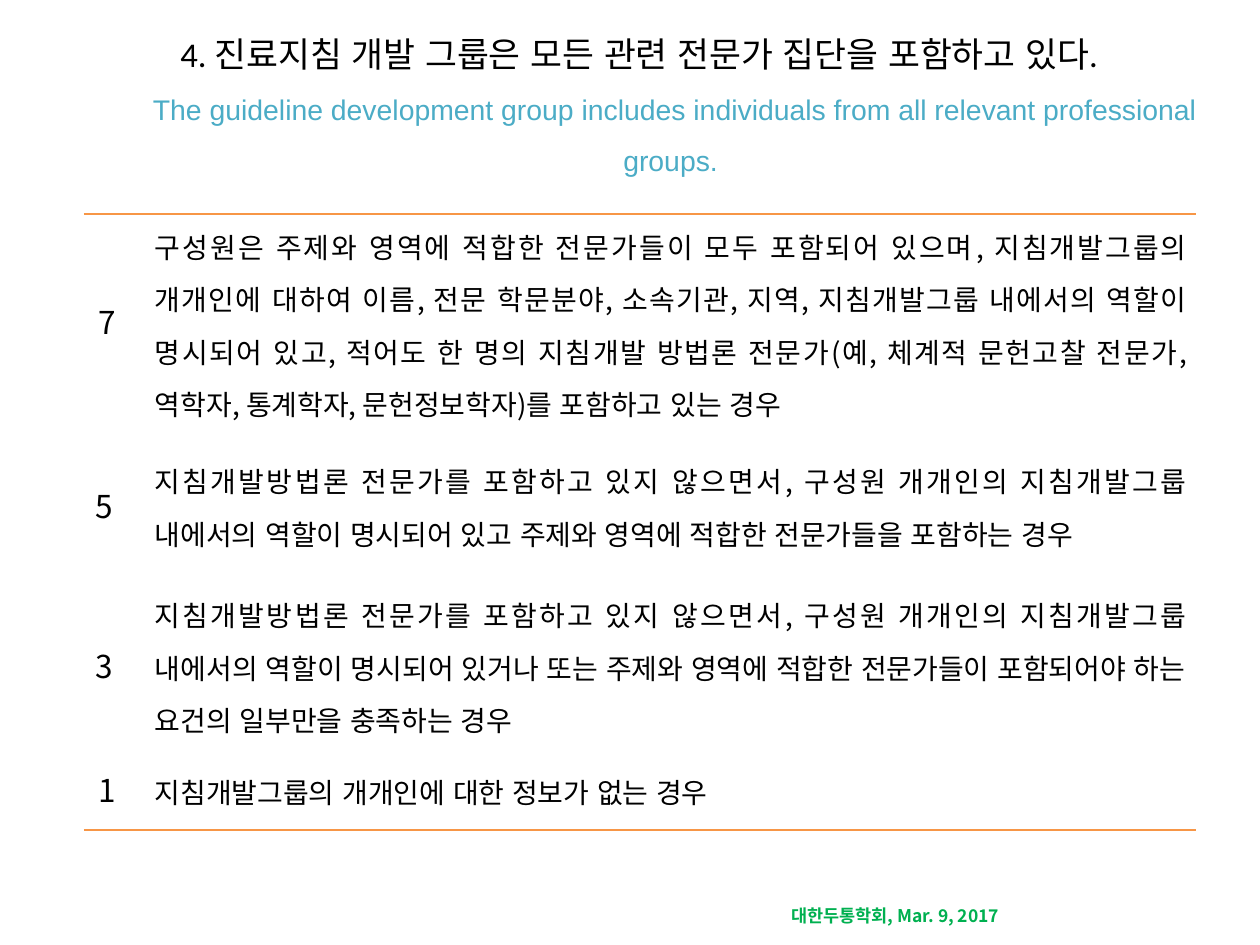
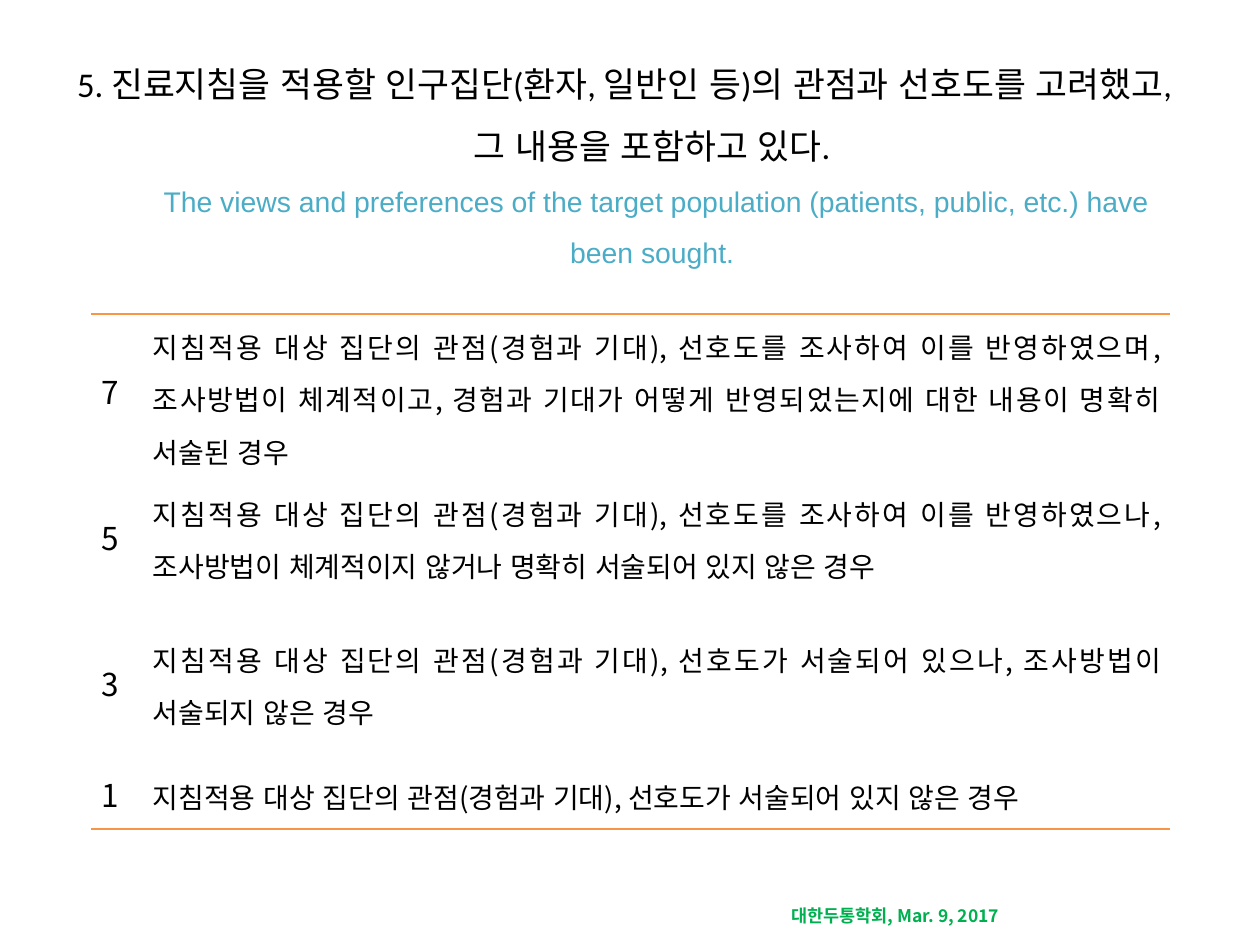
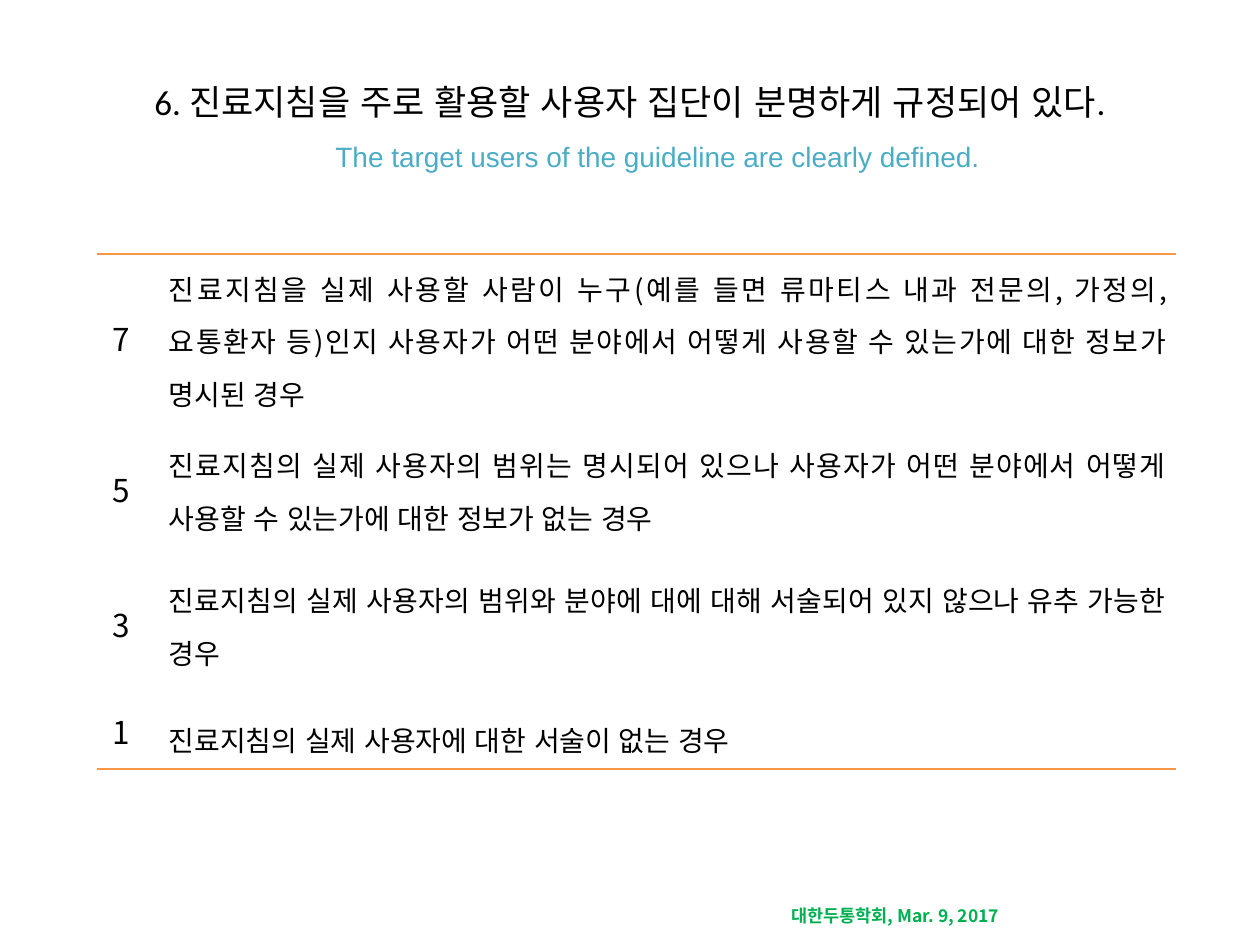
from pptx import Presentation
from pptx.dml.color import RGBColor
from pptx.enum.lang import MSO_LANGUAGE_ID
from pptx.enum.text import MSO_ANCHOR, MSO_AUTO_SIZE, PP_ALIGN
from pptx.oxml.ns import qn
from pptx.util import Emu, Pt
from lxml import etree

CENTER, JUSTIFY = PP_ALIGN.CENTER, PP_ALIGN.JUSTIFY
MIDDLE = MSO_ANCHOR.MIDDLE
NO_AUTOFIT = MSO_AUTO_SIZE.NONE
KOREAN, ENGLISH = MSO_LANGUAGE_ID.KOREAN, MSO_LANGUAGE_ID.ENGLISH_US

SLIDE_SIZE = (1260, 945)
TITLE_ONLY = 5
PLAIN_TABLE_STYLE = "{2D5ABB26-0587-4C30-8999-92F81FD0307C}"
FOOTER = "대한두통학회, Mar. 9, 2017"
FOOTER_BOX = (779, 899, 277, 34)
TITLE_INDENT = 63
CELL_MARGIN = 9
SCORE_RIGHT_MARGIN = 24

THEME = {
    "korean font": "Noto Sans CJK KR",
    "rule": "F79646",
    "question": {"name": "Calibri", "color": "000000", "language_id": KOREAN},
    "translation": {"name": "Arial", "color": "4BACC6", "language_id": ENGLISH},
    "score": {"name": "Noto Sans CJK KR", "size": 18, "color": "000000", "language_id": KOREAN},
    "criterion": {"name": "Noto Sans CJK KR", "size": 16, "color": "000000", "language_id": KOREAN},
    "footer": {"name": "Noto Sans CJK KR", "size": 10, "color": "00B050", "bold": True,
               "language_id": KOREAN},
}

ITEMS = [
    {
        "question": "4. 진료지침 개발 그룹은 모든 관련 전문가 집단을 포함하고 있다. ",
        "translation": "The guideline development group includes individuals from all relevant "
                       "professional groups. ",
        "title sizes": (19.8, 16.2),
        "title box": (35, 16, 1216, 157),
        "table at": (84, 214),
        "columns": (62, 1050),
        "rows": (207, 160, 160, 89),
        "scores": ("7", "5 ", "3 ", "1"),
        "criteria": (
            "구성원은 주제와 영역에 적합한 전문가들이 모두 포함되어 있으며, 지침개발그룹의 "
            "개개인에 대하여 이름, 전문 학문분야, 소속기관, 지역, 지침개발그룹 내에서의 역할이 "
            "명시되어 있고, 적어도 한 명의 지침개발 방법론 전문가(예, 체계적 문헌고찰 전문가, "
            "역학자, 통계학자, 문헌정보학자)를 포함하고 있는 경우",
            "지침개발방법론 전문가를 포함하고 있지 않으면서, 구성원 개개인의 지침개발그룹 "
            "내에서의 역할이 명시되어 있고 주제와 영역에 적합한 전문가들을 포함하는 경우",
            "지침개발방법론 전문가를 포함하고 있지 않으면서, 구성원 개개인의 지침개발그룹 "
            "내에서의 역할이 명시되어 있거나 또는 주제와 영역에 적합한 전문가들이 포함되어야 "
            "하는 요건의 일부만을 충족하는 경우",
            "지침개발그룹의 개개인에 대한 정보가 없는 경우",
        ),
    },
    {
        "question": "5. 진료지침을 적용할 인구집단(환자, 일반인 등)의 관점과 선호도를 고려했고, "
                    "그 내용을 포함하고 있다. ",
        "translation": "The views and preferences of the target population (patients, public, "
                       "etc.) have been sought. ",
        "title sizes": (19.8, 16.2),
        "title box": (63, 77, 1123, 157),
        "table at": (91, 314),
        "columns": (53, 1026),
        "rows": (146, 146, 146, 77),
        "scores": ("7", "5", "3 ", "1"),
        "criteria": (
            "지침적용 대상 집단의 관점(경험과 기대), 선호도를 조사하여 이를 반영하였으며, "
            "조사방법이 체계적이고, 경험과 기대가 어떻게 반영되었는지에 대한 내용이 명확히 "
            "서술된 경우",
            "지침적용 대상 집단의 관점(경험과 기대), 선호도를 조사하여 이를 반영하였으나, "
            "조사방법이 체계적이지 않거나 명확히 서술되어 있지 않은 경우",
            "지침적용 대상 집단의 관점(경험과 기대), 선호도가 서술되어 있으나, 조사방법이 "
            "서술되지 않은 경우",
            "지침적용 대상 집단의 관점(경험과 기대), 선호도가 서술되어 있지 않은 경우",
        ),
    },
    {
        "question": "6. 진료지침을 주로 활용할 사용자 집단이 분명하게 규정되어 있다.",
        "translation": "The target users of the guideline are clearly defined. ",
        "title sizes": (20, 16),
        "title box": (63, 38, 1134, 157),
        "table at": (97, 254),
        "columns": (63, 1016),
        "rows": (161, 140, 130, 84),
        "scores": ("7", "5", "3", "1"),
        "last spacing": 1.6,
        "criteria": (
            "진료지침을 실제 사용할 사람이 누구(예를 들면 류마티스 내과 전문의, 가정의, 요통환자 "
            "등)인지 사용자가 어떤 분야에서 어떻게 사용할 수 있는가에 대한 정보가 명시된 경우",
            "진료지침의 실제 사용자의 범위는 명시되어 있으나 사용자가 어떤 분야에서 어떻게 "
            "사용할 수 있는가에 대한 정보가 없는 경우",
            "진료지침의 실제 사용자의 범위와 분야에 대에 대해 서술되어 있지 않으나 유추 가능한 "
            "경우",
            "진료지침의 실제 사용자에 대한 서술이 없는 경우",
        ),
    },
]


def px(length):
    return Emu(round(length * 914400 / 126))


def add_run(paragraph, text, style, **changes):
    run = paragraph.add_run()
    run.text = text
    for name, value in {**THEME[style], **changes}.items():
        if name == "color":
            run.font.color.rgb = RGBColor.from_string(value)
        else:
            setattr(run.font, name, Pt(value) if name == "size" else value)
    east_asian = etree.SubElement(run.font._element, qn("a:ea"))
    east_asian.set("typeface", THEME["korean font"])


def add_rule(cell, side):
    """Draw one cell border; side is "lnT" or "lnB"."""
    properties = cell._tc.get_or_add_tcPr()
    line = etree.Element(qn(f"a:{side}"), w=str(Pt(1)))
    fill = etree.SubElement(line, qn("a:solidFill"))
    etree.SubElement(fill, qn("a:srgbClr"), val=THEME["rule"])
    properties.insert(0, line)


def set_title(slide, item):
    title = slide.shapes.title
    title.left, title.top, title.width, title.height = map(px, item["title box"])
    frame = title.text_frame
    frame.auto_size = NO_AUTOFIT
    frame.vertical_anchor = MIDDLE
    paragraph = frame.paragraphs[0]
    paragraph.alignment = CENTER
    paragraph.line_spacing = 1.5
    paragraph.space_before = Pt(0)
    properties = paragraph._p.get_or_add_pPr()
    properties.set("marL", str(px(TITLE_INDENT)))
    properties.set("indent", str(-px(TITLE_INDENT)))
    question_size, translation_size = item["title sizes"]
    add_run(paragraph, item["question"], "question", size=question_size)
    paragraph.add_line_break()
    add_run(paragraph, item["translation"], "translation", size=translation_size)


def fill_cell(cell, text, style, alignment, spacing, right_margin=CELL_MARGIN):
    cell.fill.background()
    cell.vertical_anchor = MIDDLE
    cell.margin_left, cell.margin_right = px(CELL_MARGIN), px(right_margin)
    cell.margin_top = cell.margin_bottom = 0
    paragraph = cell.text_frame.paragraphs[0]
    paragraph.alignment = alignment
    paragraph.line_spacing = spacing
    add_run(paragraph, text, style)


def add_score_table(slide, item):
    columns, rows = item["columns"], item["rows"]
    box = (*item["table at"], sum(columns), sum(rows))
    frame = slide.shapes.add_table(len(rows), len(columns), *map(px, box))
    table = frame.table
    table.first_row = table.horz_banding = False
    next(frame.element.iter(qn("a:tableStyleId"))).text = PLAIN_TABLE_STYLE
    for column, width in zip(table.columns, columns):
        column.width = px(width)
    for row, height in zip(table.rows, rows):
        row.height = px(height)
    last = len(rows) - 1
    for index, (score, criterion) in enumerate(zip(item["scores"], item["criteria"])):
        spacing = item.get("last spacing", 1.3) if index == last else 1.3
        fill_cell(table.cell(index, 0), score, "score", CENTER, 1.15, SCORE_RIGHT_MARGIN)
        fill_cell(table.cell(index, 1), criterion, "criterion", JUSTIFY, spacing)
    for column in range(len(columns)):
        add_rule(table.cell(0, column), "lnT")
        add_rule(table.cell(last, column), "lnB")


def add_footer(slide):
    footer = slide.shapes.add_textbox(*map(px, FOOTER_BOX))
    footer.text_frame.word_wrap = True
    add_run(footer.text_frame.paragraphs[0], FOOTER, "footer")


def main():
    presentation = Presentation()
    presentation.slide_width, presentation.slide_height = map(px, SLIDE_SIZE)
    layout = presentation.slide_layouts[TITLE_ONLY]
    for item in ITEMS:
        slide = presentation.slides.add_slide(layout)
        add_footer(slide)
        set_title(slide, item)
        add_score_table(slide, item)
    presentation.save("out.pptx")


if __name__ == "__main__":
    main()
